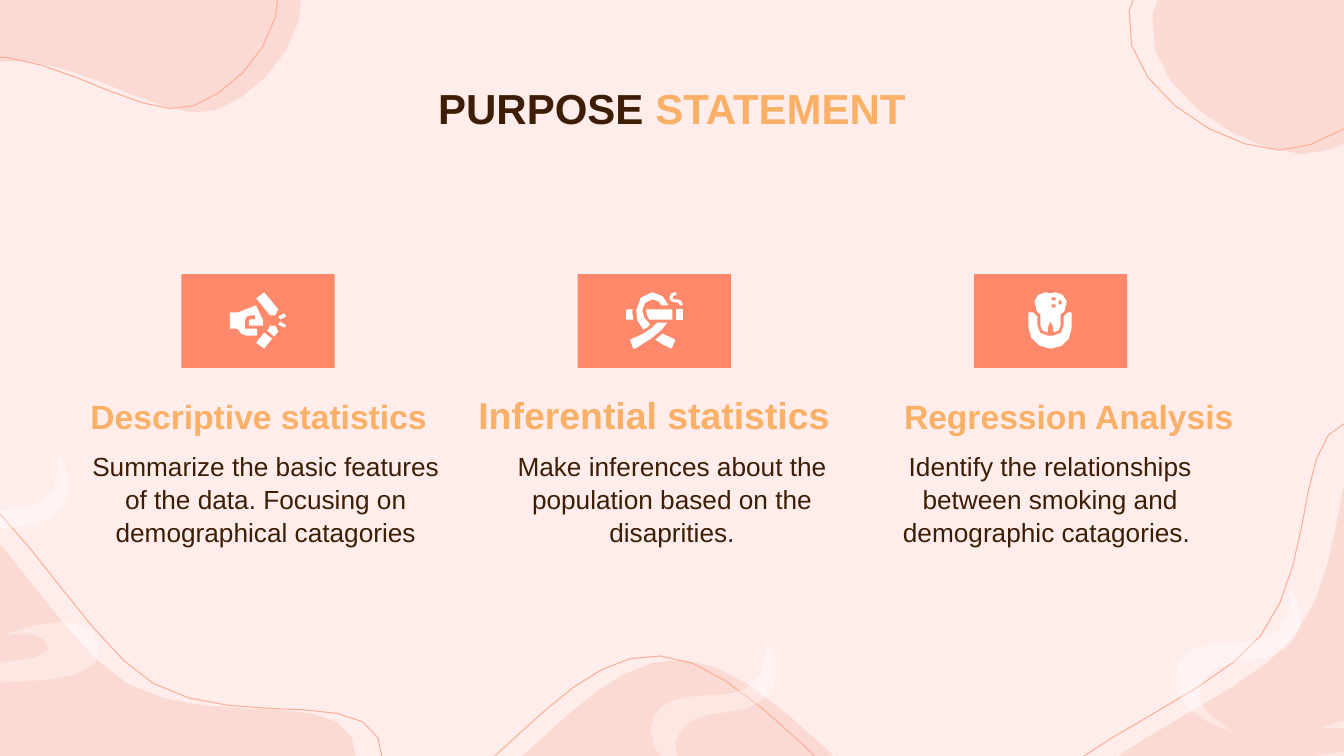
from dataclasses import dataclass
from math import ceil, dist, sqrt

from lxml.etree import SubElement
from pptx import Presentation
from pptx.dml.color import RGBColor
from pptx.enum.shapes import MSO_SHAPE as Shape
from pptx.enum.text import MSO_ANCHOR as Anchor, PP_ALIGN as Align
from pptx.oxml.ns import qn
from pptx.util import Inches, Pt

BACKGROUND, BLUSH, OUTLINE = "FFEDEC", "FBDAD3", "FDAE97"
CORAL, AMBER, BROWN, WHITE = "FD896A", "FBB068", "3D1D03", "FFFFFF"

# Outlines in inches: M moves, L draws lines, C draws Bezier curves, Z closes.
LEFT_HILL = """M -3.92 7.8 C -3.69 7.02 -2.07 4.79 -1.2 4.62 -0.34 4.45 0.48 6.33 1.26 6.78
 2.05 7.23 3.26 6.83 3.49 7.32 3.72 7.81 3.23 9.52 2.65 9.69 2.07 9.86 0.88 8.42 0.01 8.36
 -0.86 8.3 -1.93 9.42 -2.58 9.33 -3.24 9.23 -4.15 8.59 -3.92 7.8 Z"""
RIGHT_HILL = """M 13.13 11.59 C 12.38 11.25 10.41 9.33 10.36 8.45 10.31 7.57 12.29 7.02 12.84 6.31
 13.4 5.6 13.18 4.35 13.69 4.19 14.2 4.03 15.83 4.75 15.92 5.35 16.01 5.95 14.42 6.92 14.23 7.78
 14.05 8.63 15.01 9.84 14.83 10.48 14.64 11.11 13.87 11.93 13.13 11.59 Z"""
CLOUD = """M 2.86 10.37 C 2.98 9.68 4.35 8.23 5.06 7.61 5.77 6.98 6.32 6.32 7.1 6.62
 7.89 6.92 9.47 8.69 9.79 9.42 10.11 10.15 9.52 10.82 9.03 11 8.53 11.19 7.61 10.4 6.83 10.52
 6.05 10.65 5.01 11.77 4.35 11.75 3.69 11.72 2.74 11.06 2.86 10.37 Z"""
SWIRL = """M 13.65 7.1 C 13.39 7.1 13.08 7.23 13.08 7.23 13.15 7.23 13.21 7.22 13.26 7.22
 13.42 7.22 13.5 7.26 13.51 7.37 13.52 7.58 11.68 7.48 11.57 7.77 11.47 8.05 12.32 8.06 11.52 8.24
 10.77 8.41 10.51 9.21 11.11 9.21 11.16 9.21 11.21 9.21 11.27 9.2 11.56 9.14 11.79 9.12 11.97 9.12
 12.68 9.12 12.59 9.46 12.59 9.46 12.92 8.74 11.44 9.03 11.45 8.73 11.46 8.47 12.53 8.4 12.71 8.17
 12.89 7.95 12.06 7.9 12.14 7.75 12.16 7.71 12.35 7.7 12.59 7.7 12.67 7.7 12.76 7.7 12.86 7.7
 13.41 7.7 14.08 7.68 14.02 7.35 13.98 7.16 13.83 7.1 13.65 7.1 Z"""
SMOKE = """M 12.79 5.84 C 12.81 5.98 12.79 6.14 12.69 6.24 12.61 6.33 12.48 6.36 12.36 6.37
 12.24 6.38 12.12 6.37 12 6.4 11.88 6.41 11.75 6.47 11.69 6.58 11.6 6.72 11.67 6.91 11.79 7.03
 11.91 7.15 12.07 7.21 12.23 7.26 12.16 7.21 12.07 7.15 12 7.09 11.97 7.05 11.93 7.02 11.91 6.97
 11.86 6.86 11.93 6.72 12.03 6.65 12.13 6.58 12.26 6.56 12.38 6.55 12.51 6.53 12.64 6.51 12.74 6.44
 12.83 6.37 12.89 6.27 12.9 6.16 12.91 6.04 12.87 5.92 12.79 5.84 Z"""

HAND_ICON = (
    "M 2.68 3.23 L 2.65 3.28 2.72 3.34 2.76 3.29 2.73 3.23 Z",
    "M 2.62 3.3 L 2.54 3.4 2.62 3.46 2.7 3.36 Z",
    "M 2.82 3.11 L 2.76 3.14 2.78 3.17 2.84 3.14 Z",
    "M 2.78 3.19 L 2.76 3.22 2.82 3.25 2.84 3.23 Z",
    "M 2.62 2.9 L 2.54 2.96 2.68 3.13 2.73 3.13 2.76 3.07 Z",
    """M 2.54 3.03 L 2.36 3.1 2.28 3.1 2.28 3.26 2.35 3.26 2.36 3.27
 C 2.38 3.31 2.41 3.33 2.45 3.33 L 2.55 3.33 2.55 3.26 2.43 3.26 2.43 3.18
 C 2.43 3.15 2.45 3.13 2.48 3.13 L 2.53 3.13 2.53 3.17 2.48 3.17 2.47 3.18 2.47 3.23
 2.61 3.23 2.61 3.18 Z""",
)
RIBBON_ICON = (
    "M 6.57 3.31 L 6.5 3.37 C 6.54 3.4 6.59 3.43 6.66 3.46 L 6.7 3.37 Z",
    """M 6.69 2.9 C 6.66 2.9 6.64 2.92 6.64 2.95 6.64 2.98 6.66 3 6.69 3 L 6.72 3
 6.74 3.02 6.74 3.03 6.77 3.03 6.77 3.02 C 6.77 2.99 6.75 2.97 6.72 2.97
 L 6.69 2.97 C 6.68 2.97 6.67 2.96 6.67 2.95 6.67 2.94 6.68 2.93 6.69 2.93 L 6.71 2.93 6.71 2.9 Z""",
    "M 6.71 3.07 L 6.71 3.17 6.77 3.17 6.77 3.07 Z",
    "M 6.41 3.07 L 6.41 3.08 C 6.41 3.11 6.42 3.14 6.44 3.17 L 6.67 3.17 6.67 3.07 Z",
    """M 6.47 2.9 C 6.38 2.9 6.31 2.98 6.31 3.08 6.31 3.15 6.32 3.21 6.38 3.27
 6.41 3.26 6.43 3.24 6.45 3.22 6.4 3.18 6.37 3.13 6.37 3.08 6.37 3.03 6.41 2.97 6.47 2.97
 6.52 2.97 6.55 3 6.56 3.03 L 6.63 3.03 C 6.61 2.96 6.55 2.9 6.47 2.9 Z""",
    "M 6.52 3.2 C 6.47 3.26 6.38 3.32 6.25 3.37 L 6.28 3.46 6.3 3.46 C 6.49 3.35 6.58 3.27 6.62 3.2 Z",
    "M 6.21 3.07 L 6.21 3.17 6.28 3.17 6.27 3.08 6.28 3.07 Z",
)
TOOTH_ICON = (
    """M 10.2 3.1 L 10.2 3.25 C 10.2 3.36 10.3 3.46 10.42 3.46 10.54 3.46 10.63 3.37 10.63 3.25
 L 10.63 3.1 10.59 3.1 10.55 3.14 10.55 3.23 C 10.55 3.29 10.51 3.33 10.45 3.33 L 10.39 3.33
 C 10.33 3.33 10.29 3.29 10.29 3.23 L 10.29 3.14 10.25 3.1 Z""",
    """M 10.47 2.95 L 10.47 2.98 10.43 2.98 10.43 2.95 Z M 10.53 2.98 L 10.53 3.02 10.5 3.02 10.5 2.98 Z
 M 10.47 3.02 L 10.47 3.05 10.43 3.05 10.43 3.02 Z
 M 10.37 2.9 C 10.31 2.9 10.27 2.94 10.26 2.99 10.24 3.08 10.32 3.12 10.32 3.12 L 10.32 3.23
 C 10.32 3.27 10.35 3.3 10.39 3.3 10.39 3.25 10.4 3.22 10.41 3.21 L 10.42 3.19 10.43 3.21
 C 10.44 3.22 10.45 3.25 10.45 3.3 10.49 3.3 10.52 3.27 10.52 3.23 L 10.52 3.12
 C 10.52 3.12 10.6 3.08 10.58 2.99 10.57 2.94 10.52 2.9 10.47 2.9 L 10.42 2.91 Z""",
)


@dataclass
class Blob:
    """A filled outline moved by shift, with a thin line moved on by line_shift."""
    outline: str
    shift: tuple[float, float]
    line_shift: tuple[float, float]


@dataclass
class Topic:
    heading: str
    heading_box: tuple[float, float]  # left, width
    heading_size: float
    body: str
    body_left: float
    tile_left: float
    icon: tuple[str, ...]


BLOBS = (
    Blob(LEFT_HILL, (0, 0), (0.26, 0)),
    Blob(RIGHT_HILL, (0, 0), (-0.34, 0)),
    Blob(CLOUD, (0, 0), (-0.23, -0.04)),
    Blob(CLOUD, (-6.88, -9.91), (-0.23, -0.04)),
    Blob(CLOUD, (8.57, -10.22), (-0.23, -0.04)),
)
WISPS = ((SWIRL, (0, 0)), (SMOKE, (0, 0)), (SWIRL, (-13.03, -0.93)),
         (SMOKE, (-12.22, -1.32)), (SMOKE, (-5.2, 0.52)))
TOPICS = (
    Topic("Descriptive statistics", (0.7, 3.73), 24,
          "Summarize the basic features of the data. Focusing on demographical catagories",
          0.77, 1.8, HAND_ICON),
    Topic("Inferential statistics", (4.44, 4.1), 26.7,
          "Make inferences about the population based on the disaprities.",
          4.8, 5.73, RIBBON_ICON),
    Topic("Regression Analysis", (8.55, 4.1), 24,
          "Identify the relationships between smoking and demographic catagories. ",
          8.55, 9.66, TOOTH_ICON),
)


def paint(color_format, color: str) -> None:
    color_format.rgb = RGBColor.from_string(color)


def contours(outline: str) -> list[list[tuple[float, float]]]:
    """Turn an outline into lists of points, cutting longer curves into more lines."""
    found, command, numbers = [], "", []
    for token in outline.split():
        if token.isalpha():
            command = token
            continue
        numbers.append(float(token))
        if len(numbers) < (6 if command == "C" else 2):
            continue
        pairs = list(zip(numbers[::2], numbers[1::2]))
        numbers = []
        if command == "M":
            found.append(pairs)
        elif command == "L":
            found[-1] += pairs
        else:
            controls = [found[-1][-1], *pairs]
            steps = max(2, ceil(4 * sqrt(dist(controls[0], controls[3]))))
            for step in range(1, steps + 1):
                t = step / steps
                weights = ((1 - t) ** 3, 3 * t * (1 - t) ** 2, 3 * t * t * (1 - t), t ** 3)
                found[-1].append(tuple(sum(w * c[axis] for w, c in zip(weights, controls))
                                       for axis in (0, 1)))
    return found


def draw_outline(shapes, outline: str, shift=(0, 0), fill: str = "", line: str = "", opacity: int = 100) -> None:
    rings = [[(Inches(x + shift[0]), Inches(y + shift[1])) for x, y in ring]
             for ring in contours(outline)]
    builder = shapes.build_freeform(*rings[0][0])
    builder.add_line_segments(rings[0][1:])
    for ring in rings[1:]:
        builder.move_to(*ring[0])
        builder.add_line_segments(ring[1:])
    drawn = builder.convert_to_shape()
    style(drawn, fill, line)
    if opacity < 100:
        color = next(drawn.element.iter(qn("a:srgbClr")))
        SubElement(color, qn("a:alpha")).set("val", str(opacity * 1000))


def style(shape, fill: str = "", line: str = "") -> None:
    shape.shadow.inherit = False
    if fill:
        shape.fill.solid()
        paint(shape.fill.fore_color, fill)
    else:
        shape.fill.background()
    if line:
        paint(shape.line.color, line)
        shape.line.width = Pt(0.75)
    else:
        shape.line.fill.background()


def add_text(shapes, box, runs, size: float, bold: bool = True, anchor=Anchor.TOP, spacing: float = 1.0) -> None:
    frame = shapes.add_textbox(*map(Inches, box)).text_frame
    frame.word_wrap, frame.vertical_anchor = True, anchor
    frame.margin_left = frame.margin_right = frame.margin_top = frame.margin_bottom = Inches(0.13)
    paragraph = frame.paragraphs[0]
    paragraph.alignment, paragraph.line_spacing = Align.CENTER, spacing
    for words, color in runs:
        run = paragraph.add_run()
        run.text = words
        run.font.name, run.font.size, run.font.bold = "Arial", Pt(size), bold
        paint(run.font.color, color)


def draw_topic(shapes, topic: Topic) -> None:
    add_text(shapes, (topic.body_left, 4.33, 3.73, 1.49), [(topic.body, BROWN)], 18.7,
             bold=False, spacing=1.04)
    left, width = topic.heading_box
    add_text(shapes, (left, 3.87, width, 0.59), [(topic.heading, AMBER)], topic.heading_size,
             anchor=Anchor.BOTTOM)
    tile = map(Inches, (topic.tile_left, 2.72, 1.52, 0.93))
    style(shapes.add_shape(Shape.RECTANGLE, *tile), CORAL)
    icon = shapes.add_group_shape().shapes
    for outline in topic.icon:
        draw_outline(icon, outline, fill=WHITE)


def main() -> None:
    deck = Presentation()
    deck.slide_width, deck.slide_height = Inches(13.33), Inches(7.5)
    slide = deck.slides.add_slide(deck.slide_layouts[6])
    slide.background.fill.solid()
    paint(slide.background.fill.fore_color, BACKGROUND)
    shapes = slide.shapes
    for blob in BLOBS:
        draw_outline(shapes, blob.outline, blob.shift, fill=BLUSH)
        line_shift = tuple(a + b for a, b in zip(blob.shift, blob.line_shift))
        draw_outline(shapes, blob.outline, line_shift, line=OUTLINE)
    for outline, shift in WISPS:
        draw_outline(shapes, outline, shift, fill=WHITE, opacity=37)
    add_text(shapes, (1.05, 0.65, 11.23, 0.84), [("PURPOSE ", BROWN), ("STATEMENT", AMBER)], 30,
             anchor=Anchor.MIDDLE)
    for topic in TOPICS:
        draw_topic(shapes, topic)
    deck.save("out.pptx")


if __name__ == "__main__":
    main()
